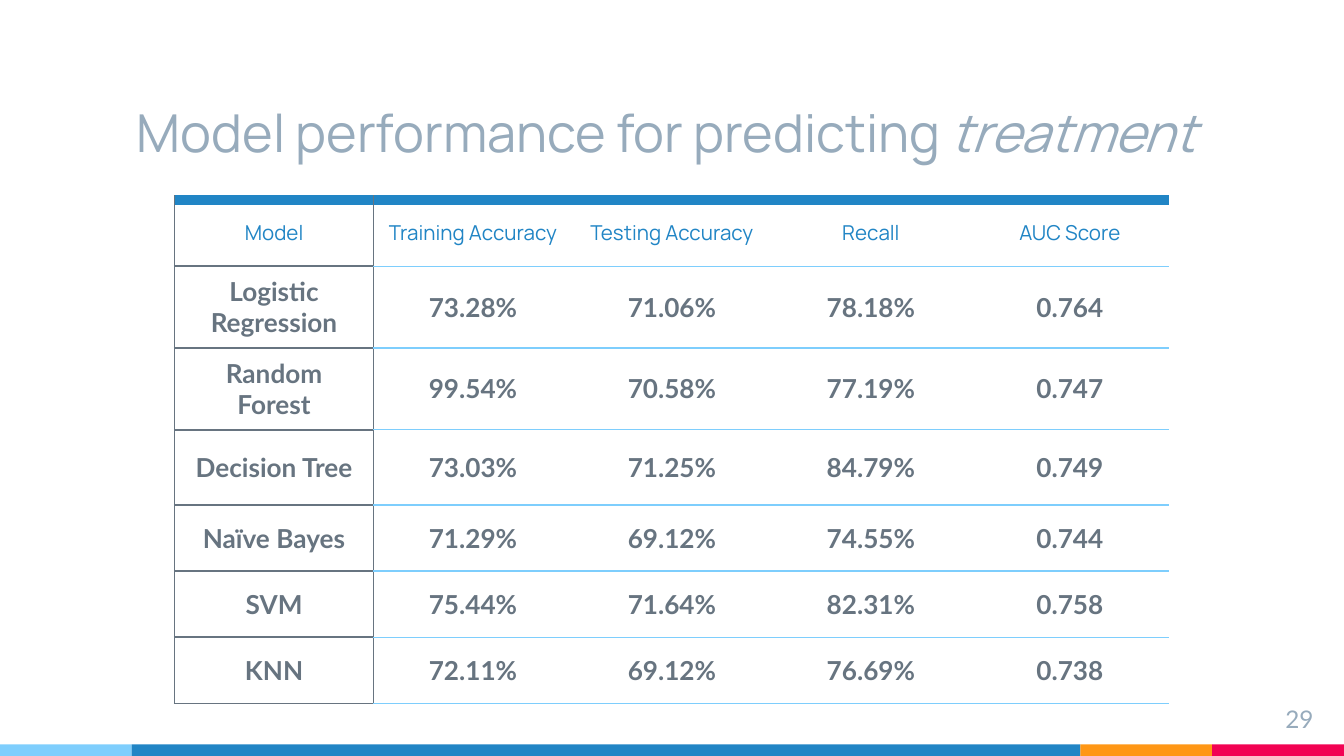
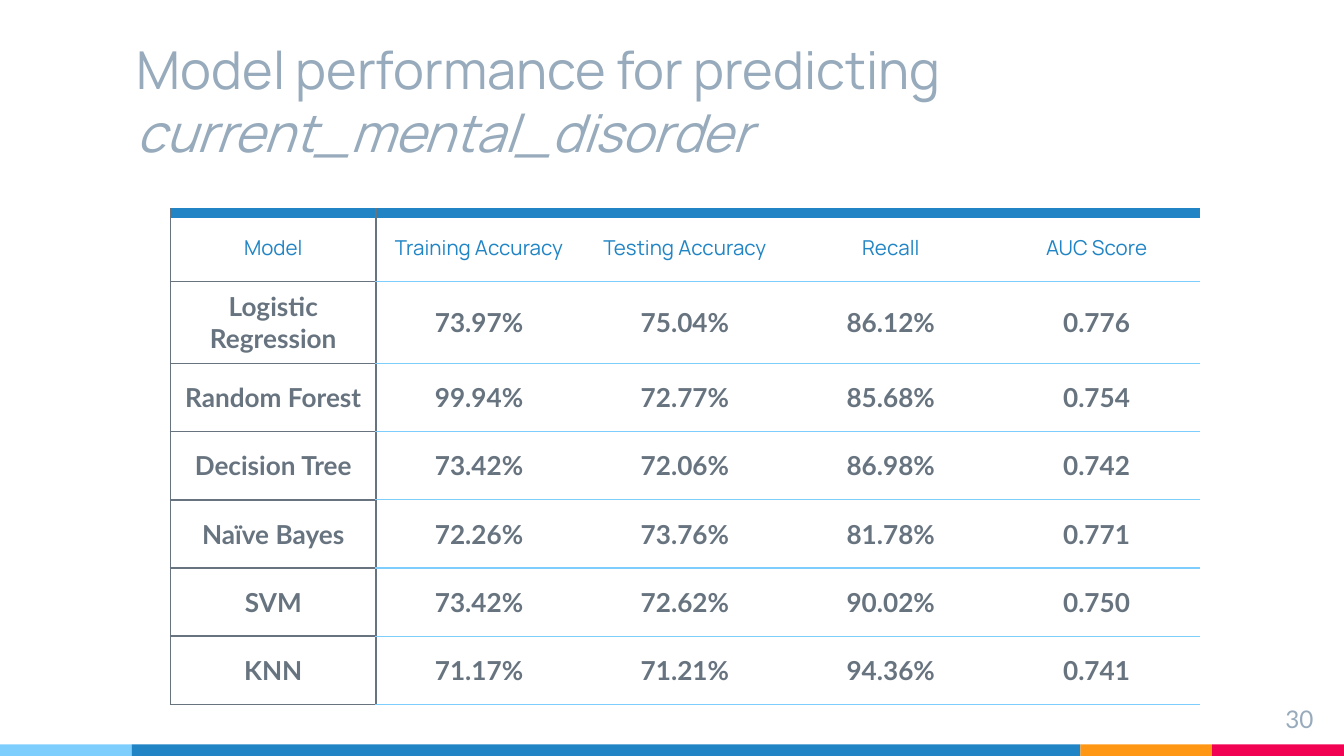
from dataclasses import dataclass

import lxml.etree
import pptx
import pptx.dml.color
import pptx.enum.shapes
import pptx.enum.text
import pptx.oxml.ns
import pptx.util

Cm = pptx.util.Cm
Pt = pptx.util.Pt
ALIGN = pptx.enum.text.PP_ALIGN
ANCHOR = pptx.enum.text.MSO_ANCHOR


@dataclass(frozen=True)
class Theme:
    blue: str = "2185C5"
    sky: str = "7ECEFD"
    orange: str = "FF9715"
    red: str = "F20253"
    title_grey: str = "97ABBC"
    text_grey: str = "677480"
    head_font: str = "Manrope"
    body_font: str = "Lato"
    title_size: int = 28
    body_size: int = 14
    page_size: int = 13
    header_size: int = 11


WIDTH, HEIGHT = 25.4, 14.29
HEADERS = ["Model", "Training Accuracy", "Testing Accuracy", "Recall", "AUC Score"]
MODELS = ["Logistic Regression", "Random Forest", "Decision Tree",
          "Naïve Bayes", "SVM", "KNN"]

SLIDES = [
    dict(
        target="treatment", page=29, left=3.3, top=3.78, col_width=3.76,
        row_heights=[1.25, 1.42, 1.42, 1.42, 1.25, 1.25, 1.25],
        scores=[
            ["73.28%", "71.06%", "78.18%", "0.764"],
            ["99.54%", "70.58%", "77.19%", "0.747"],
            ["73.03%", "71.25%", "84.79%", "0.749"],
            ["71.29%", "69.12%", "74.55%", "0.744"],
            ["75.44%", "71.64%", "82.31%", "0.758"],
            ["72.11%", "69.12%", "76.69%", "0.738"],
        ],
    ),
    dict(
        target="current_mental_disorder", page=30, left=3.22, top=4.03, col_width=3.89,
        row_heights=[1.29, 1.52] + [1.29] * 5,
        scores=[
            ["73.97%", "75.04%", "86.12%", "0.776"],
            ["99.94%", "72.77%", "85.68%", "0.754"],
            ["73.42%", "72.06%", "86.98%", "0.742"],
            ["72.26%", "73.76%", "81.78%", "0.771"],
            ["73.42%", "72.62%", "90.02%", "0.750"],
            ["71.17%", "71.21%", "94.36%", "0.741"],
        ],
    ),
]


class Deck:
    def __init__(self, theme):
        self.theme = theme
        self.prs = pptx.Presentation()
        self.prs.slide_width, self.prs.slide_height = Cm(WIDTH), Cm(HEIGHT)
        self.s = None

    def new_slide(self):
        self.s = self.prs.slides.add_slide(self.prs.slide_layouts[6])
        self.bands()

    def bands(self):
        t = self.theme
        side, height = 2.49, 0.22
        widths = [side, WIDTH - 3 * side, side, side]
        left = 0
        for width, color in zip(widths, [t.sky, t.blue, t.orange, t.red]):
            sp = self.s.shapes.add_shape(
                pptx.enum.shapes.MSO_SHAPE.RECTANGLE,
                Cm(left), Cm(HEIGHT - height), Cm(width), Cm(height))
            sp.shadow.inherit = False
            sp.fill.solid()
            sp.fill.fore_color.rgb = pptx.dml.color.RGBColor.from_string(color)
            sp.line.fill.background()
            left += width

    def style(self, p, font, size, color, bold=False, align=ALIGN.LEFT):
        p.alignment = align
        p.font.name, p.font.size, p.font.bold = font, Pt(size), bold
        p.font.color.rgb = pptx.dml.color.RGBColor.from_string(color)

    def text_box(self, left, top, width, height, anchor):
        """Add an empty wrapping text box and return its first paragraph."""
        tf = self.s.shapes.add_textbox(Cm(left), Cm(top), Cm(width), Cm(height)).text_frame
        tf.word_wrap = True
        tf.vertical_anchor = anchor
        tf.margin_left = tf.margin_right = tf.margin_top = tf.margin_bottom = Cm(0.25)
        return tf.paragraphs[0]

    def title(self, text, emphasis):
        t = self.theme
        p = self.text_box(2.34, 0.94, 21.2, 2.39, ANCHOR.BOTTOM)
        self.style(p, t.head_font, t.title_size, t.title_grey)
        p.add_run().text = text
        r = p.add_run()
        r.text = emphasis
        r.font.italic = True

    def page_number(self, number):
        t = self.theme
        p = self.text_box(23.55, 13.06, 1.52, 0.86, ANCHOR.TOP)
        p.text = str(number)
        self.style(p, t.body_font, t.page_size, t.title_grey, align=ALIGN.RIGHT)

    def borders(self, cell, sides):
        """Draw each side (L, R, T, B) as (colour, points), or hide it if None."""
        tc_pr = cell._tc.get_or_add_tcPr()
        qn = pptx.oxml.ns.qn
        for side in "LRTB":
            ln = lxml.etree.SubElement(tc_pr, qn(f"a:ln{side}"))
            if sides[side] is None:
                lxml.etree.SubElement(ln, qn("a:noFill"))
                continue
            color, points = sides[side]
            ln.set("w", str(Pt(points)))
            fill = lxml.etree.SubElement(ln, qn("a:solidFill"))
            lxml.etree.SubElement(fill, qn("a:srgbClr"), val=color)

    def cell_sides(self, row, col):
        t = self.theme
        grey, sky = (t.text_grey, 1), (t.sky, 0.75)
        if col == 0:
            sides = dict.fromkeys("LRTB", grey)
        else:
            sides = dict(L=grey if col == 1 else None, R=None, T=sky, B=sky)
        if row == 0:
            sides["T"] = (t.blue, 6)
        return sides

    def table(self, rows, left, top, col_width, row_heights):
        t = self.theme
        n_cols = len(rows[0])
        table = self.s.shapes.add_table(
            len(rows), n_cols, Cm(left), Cm(top),
            Cm(col_width * n_cols), Cm(sum(row_heights))).table
        table.first_row = table.horz_banding = False
        for column in table.columns:
            column.width = Cm(col_width)
        for i, (values, height) in enumerate(zip(rows, row_heights)):
            table.rows[i].height = Cm(height)
            for j, value in enumerate(values):
                cell = table.cell(i, j)
                cell.vertical_anchor = ANCHOR.MIDDLE
                cell.margin_left = cell.margin_right = Cm(0.25)
                cell.margin_top = cell.margin_bottom = Cm(0.18)
                self.borders(cell, self.cell_sides(i, j))
                cell.fill.background()
                p = cell.text_frame.paragraphs[0]
                p.text = value
                if i == 0:
                    self.style(p, t.head_font, t.header_size, t.blue, align=ALIGN.CENTER)
                else:
                    self.style(p, t.body_font, t.body_size, t.text_grey, True, ALIGN.CENTER)


def main():
    deck = Deck(Theme())
    for data in SLIDES:
        deck.new_slide()
        deck.title("Model performance for predicting ", data["target"])
        deck.page_number(data["page"])
        rows = [HEADERS] + [[m, *v] for m, v in zip(MODELS, data["scores"])]
        deck.table(rows, data["left"], data["top"], data["col_width"], data["row_heights"])
    deck.prs.save("out.pptx")


if __name__ == "__main__":
    main()
